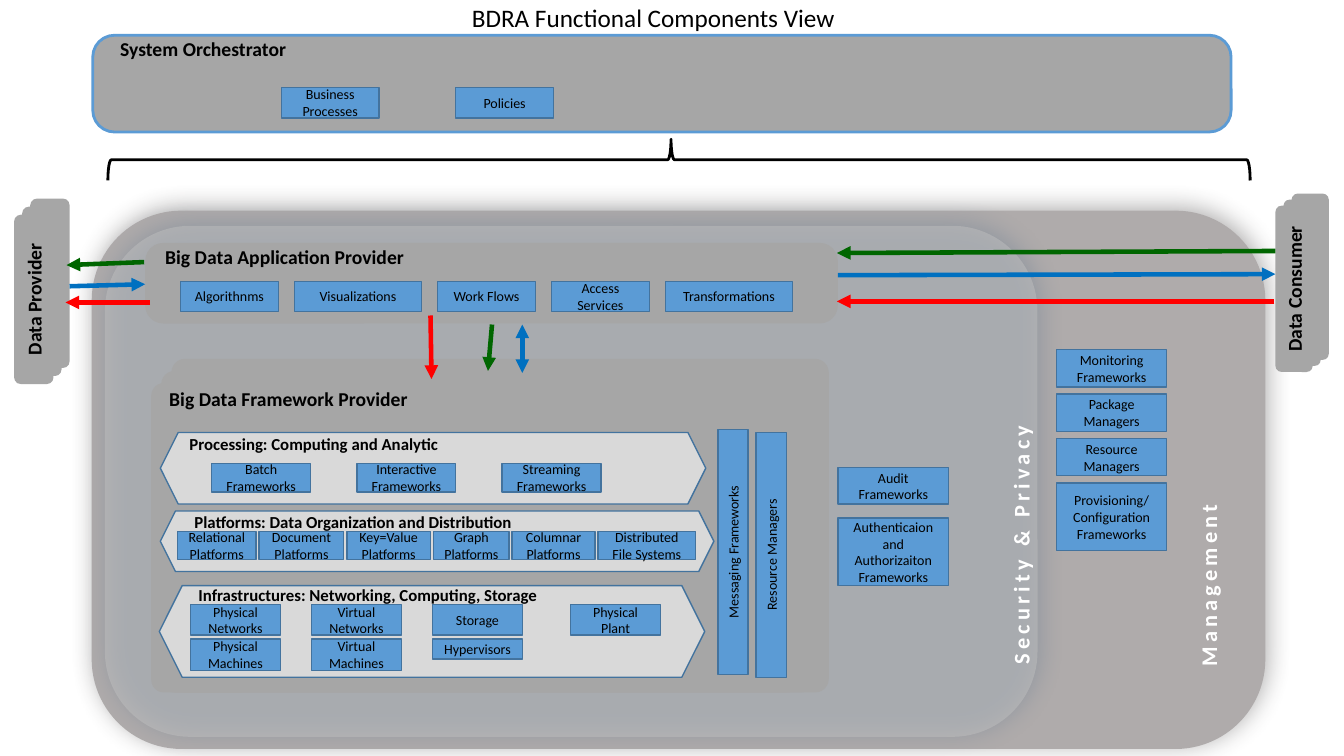
from dataclasses import dataclass
from lxml import etree
from pptx import Presentation
from pptx.dml.color import RGBColor
from pptx.enum.shapes import MSO_CONNECTOR, MSO_SHAPE
from pptx.enum.text import MSO_ANCHOR, MSO_AUTO_SIZE, PP_ALIGN
from pptx.oxml.ns import qn
from pptx.util import Inches, Pt

RECT, ROUND = MSO_SHAPE.RECTANGLE, MSO_SHAPE.ROUNDED_RECTANGLE
HEXAGON, BRACE = MSO_SHAPE.HEXAGON, MSO_SHAPE.RIGHT_BRACE
STRAIGHT = MSO_CONNECTOR.STRAIGHT
TOP, MIDDLE = MSO_ANCHOR.TOP, MSO_ANCHOR.MIDDLE
LEFT, CENTER = PP_ALIGN.LEFT, PP_ALIGN.CENTER
NO_FIT = MSO_AUTO_SIZE.NONE


@dataclass(frozen=True)
class Theme:
    font: str = "Calibri"
    title: int = 18
    band: int = 16
    heading: int = 14
    subheading: int = 12
    small: int = 10
    black: str = "000000"
    white: str = "FFFFFF"
    gray: str = "A6A6A6"
    management: str = "AFABAB"
    security: str = "BFBFBF"
    light: str = "D9D9D9"
    box: str = "5B9BD5"
    edge: str = "43739E"
    management_shadow: str = "3B3838"
    security_shadow: str = "1F4E79"
    green: str = "006600"
    blue: str = "0070C0"
    red: str = "FF0000"


T = Theme()


def rgb(value):
    return RGBColor.from_string(value)


# Basic parts
def write(sp, text, size, color=T.black, bold=False, align=CENTER, anchor=MIDDLE):
    tf = sp.text_frame
    tf.text, tf.word_wrap, tf.vertical_anchor = text, True, anchor
    for p in tf.paragraphs:
        p.alignment = align
        p.font.name, p.font.size, p.font.bold = T.font, Pt(size), bold
        p.font.color.rgb = rgb(color)
    return tf


def place(x, y, w, h, turned):
    """Frame whose quarter turn fills the given box."""
    if turned:
        x, y, w, h = x + (w - h) / 2, y + (h - w) / 2, h, w
    return [Inches(v) for v in (x, y, w, h)]


def shape(s, kind, x, y, w, h, fill=None, line=None, width=1, adj=(), turned=False):
    sp = s.shapes.add_shape(kind, *place(x, y, w, h, turned))
    sp.shadow.inherit = False
    sp.rotation = 270 if turned else 0
    for i, value in enumerate(adj):
        sp.adjustments[i] = value
    if fill:
        sp.fill.solid()
        sp.fill.fore_color.rgb = rgb(fill)
    else:
        sp.fill.background()
    if line:
        sp.line.color.rgb, sp.line.width = rgb(line), Pt(width)
    else:
        sp.line.fill.background()
    return sp


def label(s, text, x, y, w, h, size, color=T.black, align=LEFT, turned=False):
    sp = s.shapes.add_textbox(*place(x, y, w, h, turned))
    sp.rotation = 270 if turned else 0
    return write(sp, text, size, color, True, align, TOP)


def component(s, text, x, y, w, h):
    sp = shape(s, RECT, x, y, w, h, T.box, T.edge)
    return write(sp, text, T.small)


def row(s, x, y, h, gap, items):
    for text, w in items:
        component(s, text, x, y, w, h)
        x += w + gap


def column(s, x, y, w, gap, items):
    for text, h in items:
        component(s, text, x, y, w, h)
        y += h + gap


def arrow(s, color, x1, y1, x2, y2, both=False):
    c = s.shapes.add_connector(STRAIGHT, *[Inches(v) for v in (x1, y1, x2, y2)])
    c.line.color.rgb, c.line.width = rgb(color), Pt(3.25)
    ln = c.line._get_or_add_ln()
    for end in ("a:headEnd", "a:tailEnd") if both else ("a:tailEnd",):
        etree.SubElement(ln, qn(end), type="triangle")
    etree.SubElement(c._element.spPr, qn("a:effectLst"))


def glow(sp, color):
    effects = sp._element.spPr.find(qn("a:effectLst"))
    shadow = etree.SubElement(effects, qn("a:outerShdw"), blurRad=str(Pt(18)),
                              dist=str(Pt(3)), dir=str(322 * 60000), rotWithShape="0")
    clr = etree.SubElement(shadow, qn("a:srgbClr"), val=color)
    etree.SubElement(clr, qn("a:alpha"), val="40000")


# Regions
def title(s, x, y, w, h):
    sp = s.shapes.title
    sp.left, sp.top, sp.width, sp.height = place(x, y, w, h, False)
    tf = write(sp, "BDRA Functional Components View", T.title, align=LEFT, anchor=TOP)
    tf.auto_size, tf.word_wrap = NO_FIT, False


def fabric(s, x, y, w, h, name, name_x, name_y, fill, shadow, opacity=None):
    sp = shape(s, ROUND, x, y, w, h, fill, turned=True)
    glow(sp, shadow)
    if opacity:
        clr = sp._element.spPr.find(qn("a:solidFill"))[0]
        etree.SubElement(clr, qn("a:alpha"), val=str(opacity * 1000))
    tf = label(s, name, x + name_x, y + name_y, 0.37, 2.83, T.band, T.white, turned=True)
    tf.paragraphs[0].runs[0]._r.get_or_add_rPr().set("spc", "300")


def orchestrator(s, x, y, w, h):
    shape(s, ROUND, x, y, w, h, T.gray, T.box, 2, adj=[0.224])
    label(s, "System Orchestrator", x - 0.14, y - 0.03, 2.47, 0.34, T.heading, align=CENTER)
    row(s, x + 1.87, y + 0.52, 0.3, 0.76, [("Business Processes", 0.97), ("Policies", 0.97)])


def party(s, name, x, y, w, h, rise):
    for i in (2, 1, 0):
        sp = shape(s, ROUND, x + 0.08 * i, y - rise * i, w, h, T.gray, turned=True)
    write(sp, name, T.heading, bold=True)


def application(s, x, y, w, h):
    shape(s, ROUND, x, y, w, h, T.gray, adj=[0.224])
    label(s, "Big Data Application Provider", x + 0.1, y - 0.03, 6.04, 0.34, T.heading)
    row(s, x + 0.35, y + 0.38, 0.3, 0.16,
        [("Algorithnms", 0.97), ("Visualizations", 1.26), ("Work Flows", 0.97),
         ("Access Services", 0.97), ("Transformations", 1.26)])


def layer(s, name, x, y, w, h, name_x, name_y):
    shape(s, HEXAGON, x, y, w, h, T.light, T.edge)
    label(s, name, x + name_x, y + name_y, 5, 0.3, T.subheading)


def processing(s, x, y, w, h):
    layer(s, "Processing: Computing and Analytic", x, y, w, h, 0.19, -0.04)
    row(s, x + 0.51, y + 0.31, 0.28, 0.46,
        [(f"{n} Frameworks", 0.98) for n in ("Batch", "Interactive", "Streaming")])


def platforms(s, x, y, w, h):
    layer(s, "Platforms: Data Organization and Distribution", x, y, w, h, 0.24, -0.04)
    row(s, x + 0.17, y + 0.2, 0.28, 0.03,
        [("Relational Platforms", 0.78), ("Document Platforms", 0.84),
         ("Key=Value\nPlatforms", 0.83), ("Graph Platforms", 0.75),
         ("Columnar Platforms", 0.82), ("Distributed File Systems", 0.97)])


def infrastructures(s, x, y, w, h):
    layer(s, "Infrastructures: Networking, Computing, Storage", x, y, w, h, 0.29, -0.06)
    columns = [[("Physical Networks", 0.3), ("Physical Machines", 0.31)],
               [("Virtual Networks", 0.3), ("Virtual Machines", 0.31)],
               [("Storage", 0.3), ("Hypervisors", 0.2)]]
    for i, items in enumerate(columns):
        column(s, x + 0.31 + 1.2 * i, y + 0.19, 0.89, 0.04, items)
    component(s, "Physical Plant", x + 4.08, y + 0.19, 0.89, 0.3)


def framework(s, x, y, w, h):
    for i in (2, 1, 0):
        shape(s, ROUND, x + 0.1 * i, y - 0.12 * i, w + 0.05 * i, h + 0.12 * i,
              T.gray, adj=[0.041])
    label(s, "Big Data Framework Provider", x + 0.08, y - 0.01, 3.01, 0.34, T.heading)
    processing(s, x + 0.09, y + 0.49, 5.41, 0.71)
    platforms(s, x + 0.09, y + 1.27, 5.49, 0.6)
    infrastructures(s, x + 0.08, y + 2.01, 5.41, 0.91)
    for i, name in enumerate(("Messaging Frameworks", "Resource Managers")):
        tf = component(s, name, x + 5.62 + 0.38 * i, y + 0.46 + 0.03 * i, 0.3, 2.43)
        tf._txBody.bodyPr.set("vert", "vert270")


prs = Presentation()
prs.slide_width, prs.slide_height = Inches(13.33), Inches(7.5)
s = prs.slides.add_slide(prs.slide_layouts[5])

title(s, 4.58, -0.03, 3.84, 0.4)
fabric(s, 0.91, 2.09, 11.64, 5.34, "Management", 10.89, 1.79,
       T.management, T.management_shadow)
fabric(s, 1.04, 2.24, 9.25, 5.07, "Security & Privacy", 8.9, 1.62,
       T.security, T.security_shadow, 51)
orchestrator(s, 0.92, 0.35, 11.29, 0.96)
shape(s, BRACE, 1.07, 1.38, 11.33, 0.41, line=T.black, width=2,
      adj=[0.083, 0.493], turned=True)
party(s, "Data Consumer", 12.65, 2.04, 0.37, 1.65, 0.06)
party(s, "Data Provider", 0.14, 2.13, 0.39, 1.68, 0.08)
application(s, 1.44, 2.41, 6.87, 0.8)
framework(s, 1.5, 3.8, 6.42, 3.07)

# Components of the two surrounding fabrics
column(s, 8.31, 4.64, 1.1, 0.14,
       [("Audit Frameworks", 0.36), ("Authenticaion and Authorizaiton Frameworks", 0.67)])
column(s, 10.48, 3.47, 1.09, 0.07,
       [("Monitoring\nFrameworks", 0.37), ("Package Managers", 0.37),
        ("Resource Managers", 0.37), ("Provisioning/ Configuration\nFrameworks", 0.67)])

# Flows between the parties and the providers
arrow(s, T.green, 12.65, 2.49, 8.3, 2.51)
arrow(s, T.blue, 8.31, 2.73, 12.65, 2.72)
arrow(s, T.red, 12.64, 2.99, 8.3, 2.99)
arrow(s, T.green, 1.43, 2.6, 0.66, 2.63)
arrow(s, T.blue, 0.69, 2.84, 1.44, 2.82)
arrow(s, T.red, 1.49, 3, 0.65, 3)
arrow(s, T.green, 4.88, 3.22, 4.84, 3.68)
arrow(s, T.blue, 5.18, 3.22, 5.18, 3.7, both=True)
arrow(s, T.red, 4.27, 3.13, 4.28, 3.76)

prs.save("out.pptx")
